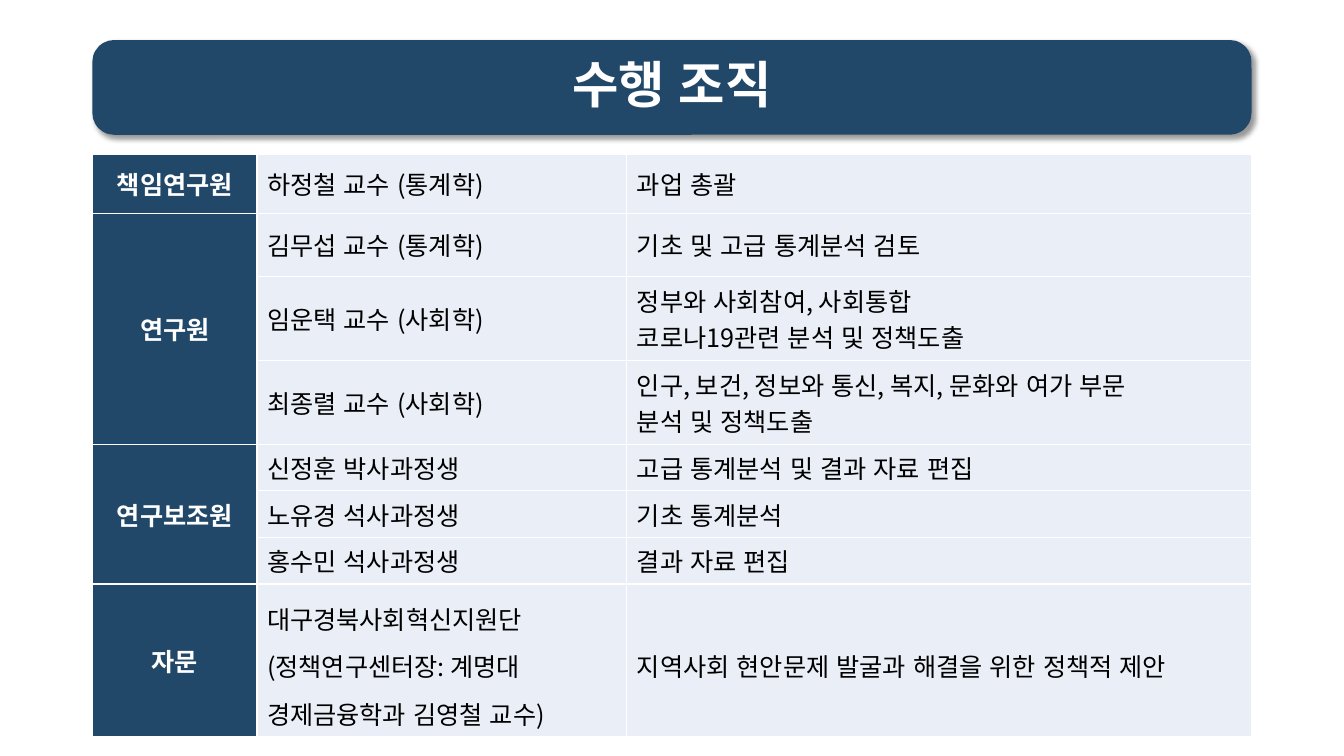
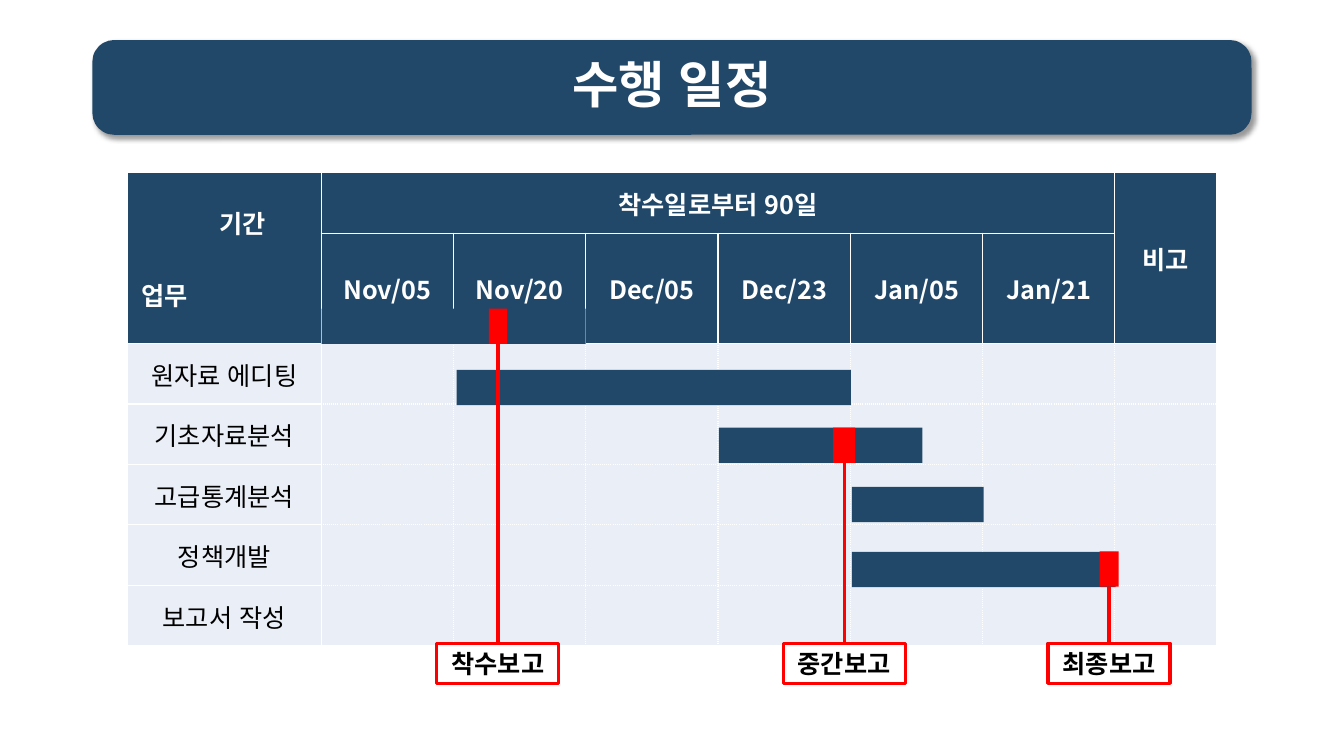
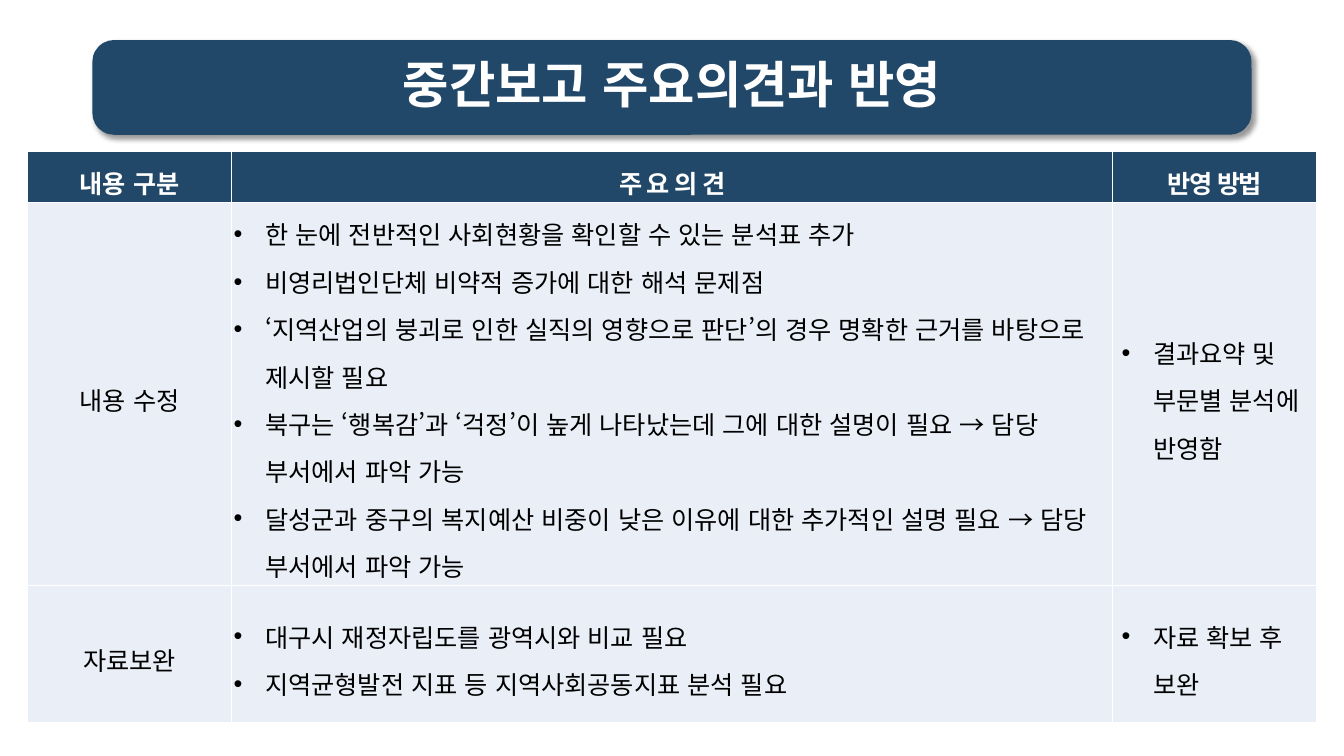
from lxml import etree
from pptx import Presentation
from pptx.dml.color import RGBColor
from pptx.enum.lang import MSO_LANGUAGE_ID
from pptx.enum.shapes import MSO_CONNECTOR, MSO_SHAPE
from pptx.enum.text import MSO_ANCHOR, PP_ALIGN
from pptx.oxml.ns import qn
from pptx.util import Pt

LEFT, CENTER = PP_ALIGN.LEFT, PP_ALIGN.CENTER
MIDDLE = MSO_ANCHOR.MIDDLE
RECT, ROUND = MSO_SHAPE.RECTANGLE, MSO_SHAPE.ROUNDED_RECTANGLE
LINE = MSO_CONNECTOR.STRAIGHT
KOREAN = MSO_LANGUAGE_ID.KOREAN

FONT = "Noto Sans CJK KR"
NAVY, PALE, RED = "214869", "EAEFF7", "FF0000"
WHITE, BLACK = "FFFFFF", "000000"


def rgb(code):
    return RGBColor.from_string(code)


def node(parent, tag, **attrs):
    item = etree.SubElement(parent, qn(tag))
    for key, value in attrs.items():
        item.set(key, str(value))
    return item


class Deck:
    def __init__(self):
        self.prs = Presentation()
        self.prs.slide_width, self.prs.slide_height = Pt(960), Pt(540)
        self.slide = None

    def page(self, title):
        self.slide = self.prs.slides.add_slide(self.prs.slide_layouts[6])
        band = self.box(66, 28.6, 828, 67.7, NAVY, kind=ROUND)
        band.adjustments[0] = 0.23
        props = band._element.spPr
        shade = node(props.find(qn("a:effectLst")), "a:outerShdw", blurRad=Pt(4),
                     dist=Pt(3), dir=2700000, algn="tl", rotWithShape=0)
        node(node(shade, "a:srgbClr", val=BLACK), "a:alpha", val=40000)
        self.text(band.text_frame, [title], WHITE, True, CENTER, size=36, lead=0.9)

    # Text: one paragraph per item, a newline is a line break
    def text(self, frame, lines, color=BLACK, bold=False, align=LEFT, size=18,
             lead=None, indent=None, track=None):
        for n, line in enumerate(lines):
            para = frame.paragraphs[0] if n == 0 else frame.add_paragraph()
            para.alignment = align
            if lead:
                para.line_spacing = lead
            if indent:
                props = para._p.get_or_add_pPr()
                props.set("marL", str(Pt(indent)))
                props.set("indent", str(Pt(-22.5)))
                node(props, "a:buFont", typeface="Arial")
                node(props, "a:buChar", char="•")
            for k, part in enumerate(line.split("\n")):
                if k:
                    para.add_line_break()
                self.run(para, part, color, bold, size, track)

    def run(self, para, text, color, bold, size, track):
        run = para.add_run()
        run.text = text
        font = run.font
        font.size, font.bold, font.name = Pt(size), bold, FONT
        font.color.rgb = rgb(color)
        font.language_id = KOREAN
        props = run._r.get_or_add_rPr()
        node(props, "a:ea", typeface=FONT)
        if track:
            props.set("spc", str(track))

    # Shapes
    def box(self, x, y, w, h, fill=None, line=None, kind=RECT):
        shape = self.slide.shapes.add_shape(kind, Pt(x), Pt(y), Pt(w), Pt(h))
        shape.shadow.inherit = False
        if fill:
            shape.fill.solid()
            shape.fill.fore_color.rgb = rgb(fill)
        else:
            shape.fill.background()
        if line:
            shape.line.color.rgb = rgb(line)
            shape.line.width = Pt(2.25)
        else:
            shape.line.fill.background()
        shape.text_frame.vertical_anchor = MIDDLE
        return shape

    def link(self, start, end):
        wire = self.slide.shapes.add_connector(LINE, 0, 0, 0, 0)
        wire.begin_connect(start, 2)
        wire.end_connect(end, 0)
        wire.line.color.rgb = rgb(RED)
        wire.line.width = Pt(2.25)
        node(wire._element.spPr, "a:effectLst")

    # Tables
    def grid(self, x, y, cols, rows):
        frame = self.slide.shapes.add_table(len(rows), len(cols), Pt(x), Pt(y),
                                            Pt(sum(cols)), Pt(sum(rows)))
        table = frame.table
        table.first_row = table.horz_banding = False
        for col, width in zip(table.columns, cols):
            col.width = Pt(width)
        for row, height in zip(table.rows, rows):
            row.height = Pt(height)
        return table

    def cell(self, cell, lines=(), head=False, inset=None, dots="", **style):
        props = cell._tc.get_or_add_tcPr()
        for side in "LRTB":
            edge = node(props, "a:ln" + side, w=Pt(1))
            node(node(edge, "a:solidFill"), "a:srgbClr", val=WHITE)
            node(edge, "a:prstDash", val="sysDot" if side in dots else "solid")
        cell.fill.solid()
        cell.fill.fore_color.rgb = rgb(NAVY if head else PALE)
        cell.vertical_anchor = MIDDLE
        if inset:
            (cell.margin_left, cell.margin_top,
             cell.margin_right, cell.margin_bottom) = map(Pt, inset)
        if head:
            style = {"color": WHITE, "bold": True, "align": CENTER, **style}
        self.text(cell.text_frame, lines, **style)


def team(deck):
    deck.page("수행 조직")
    table = deck.grid(66.2, 110.4, [117.4, 264.2, 446.4],
                      [42, 45, 60, 60, 33, 33, 33, 109])
    people = [
        ("책임연구원", ["하정철 교수 (통계학)"], ["과업 총괄"]),
        ("연구원", ["김무섭 교수 (통계학)"], ["기초 및 고급 통계분석 검토"]),
        ("", ["임운택 교수 (사회학)"],
         ["정부와 사회참여, 사회통합", "코로나19관련 분석 및 정책도출"]),
        ("", ["최종렬 교수 (사회학)"],
         ["인구, 보건, 정보와 통신, 복지, 문화와 여가 부문\n분석 및 정책도출"]),
        ("연구보조원", ["신정훈 박사과정생"], ["고급 통계분석 및 결과 자료 편집"]),
        ("", ["노유경 석사과정생"], ["기초 통계분석"]),
        ("", ["홍수민 석사과정생"], ["결과 자료 편집"]),
        ("자문", ["대구경북사회혁신지원단",
                "(정책연구센터장: 계명대 경제금융학과 김영철 교수)"],
         ["지역사회 현안문제 발굴과 해결을 위한 정책적 제안"]),
    ]
    for r, (role, name, duty) in enumerate(people):
        lead = 1.3 if role == "자문" else None
        deck.cell(table.cell(r, 0), [role] if role else [], head=True)
        deck.cell(table.cell(r, 1), name, lead=lead)
        deck.cell(table.cell(r, 2), duty, lead=lead)
    for top in (1, 4):
        table.cell(top, 0).merge(table.cell(top + 2, 0))


def plan(deck):
    deck.page("수행 일정")
    table = deck.grid(90.9, 123.3, [138.6] + [94.5] * 6 + [72.6],
                      [43.2, 78] + [43.2] * 5)
    inset = (0.7, 0.7, 0.7, 0)
    heads = [
        ["기간", "착수일로부터 90일", "", "", "", "", "", "비고"],
        ["", "Nov/05", "Nov/20", "Dec/05", "Dec/23", "Jan/05", "Jan/21", ""],
    ]
    for r, row in enumerate(heads):
        for c, text in enumerate(row):
            deck.cell(table.cell(r, c), [text] if text else [], True, inset)

    # Corner cell: period to the right, task below left
    corner = table.cell(0, 0).text_frame
    deck.run(corner.add_paragraph(), "업무", WHITE, True, 18, None)
    for para, indent in zip(corner.paragraphs, (65, 9.5)):
        para.alignment = LEFT
        para._p.get_or_add_pPr().set("marL", str(Pt(indent)))
    corner.paragraphs[1].space_before = Pt(26)
    for (r1, c1), (r2, c2) in (((0, 0), (1, 0)), ((0, 1), (0, 6)), ((0, 7), (1, 7))):
        table.cell(r1, c1).merge(table.cell(r2, c2))

    # Task rows: dotted lines inside, solid around
    tasks = ["원자료 에디팅", "기초자료분석", "고급통계분석", "정책개발", "보고서 작성"]
    for r, task in enumerate(tasks, 2):
        deck.cell(table.cell(r, 0), [task], inset=inset, align=CENTER)
        for c in range(1, 8):
            inner = {"L": c > 1, "R": c < 7, "T": r > 2, "B": r < 6}
            deck.cell(table.cell(r, c), dots=[s for s in inner if inner[s]])

    # Bars
    for x, y, w in ((229.7, 220.4, 188.6), (326.2, 264.2, 281.5),
                    (513.4, 305.5, 145.4), (608.4, 347.8, 94.3),
                    (608.4, 394.2, 188.6)):
        deck.box(x, y, w, 25.2, NAVY)

    # Reports: marker, label and the line between
    for name, mid, y, w in (("착수보고", 355.7, 220.4, 13),
                            ("중간보고", 603, 305.5, 15.8),
                            ("최종보고", 792.2, 393.9, 13.6)):
        mark = deck.box(mid - w / 2, y, w, 25.2, RED)
        label = deck.box(mid - 43.6, 459.4, 87.2, 28.8, line=RED)
        label.text_frame.word_wrap = False
        deck.text(label.text_frame, [name], bold=True, align=CENTER)
        deck.link(mark, label)


def review(deck):
    deck.page("중간보고 주요의견과 반영")
    table = deck.grid(19.6, 108.2, [146, 629.2, 146], [36.5, 273.5, 98])
    base = {"inset": (1.4, 1.4, 1.4, 1.4), "lead": 1.3}
    for c, text in enumerate(["내용 구분", "주 요 의 견", "반영 방법"]):
        deck.cell(table.cell(0, c), [text], True, track=-90 if c else None, **base)
    notes = [
        ("내용 수정",
         ["한 눈에 전반적인 사회현황을 확인할 수 있는 분석표 추가",
          "비영리법인단체 비약적 증가에 대한 해석 문제점",
          "‘지역산업의 붕괴로 인한 실직의 영향으로 판단’의 경우 명확한 근거를 바탕으로 제시할 필요",
          "북구는 ‘행복감’과 ‘걱정’이 높게 나타났는데 그에 대한 설명이 필요 → 담당 부서에서 파악 가능",
          "달성군과 중구의 복지예산 비중이 낮은 이유에 대한 추가적인 설명 필요 → 담당 부서에서 파악 가능"],
         "결과요약 및 부문별 분석에 반영함"),
        ("자료보완",
         ["대구시 재정자립도를 광역시와 비교 필요",
          "지역균형발전 지표 등 지역사회공동지표 분석 필요"],
         "자료 확보 후 보완"),
    ]
    for r, (kind, views, reply) in enumerate(notes, 1):
        deck.cell(table.cell(r, 0), [kind], align=CENTER, **base)
        deck.cell(table.cell(r, 1), views, indent=22.5, **base)
        deck.cell(table.cell(r, 2), [reply], indent=27.5, **base)


def main():
    deck = Deck()
    team(deck)
    plan(deck)
    review(deck)
    deck.prs.save("out.pptx")


if __name__ == "__main__":
    main()
